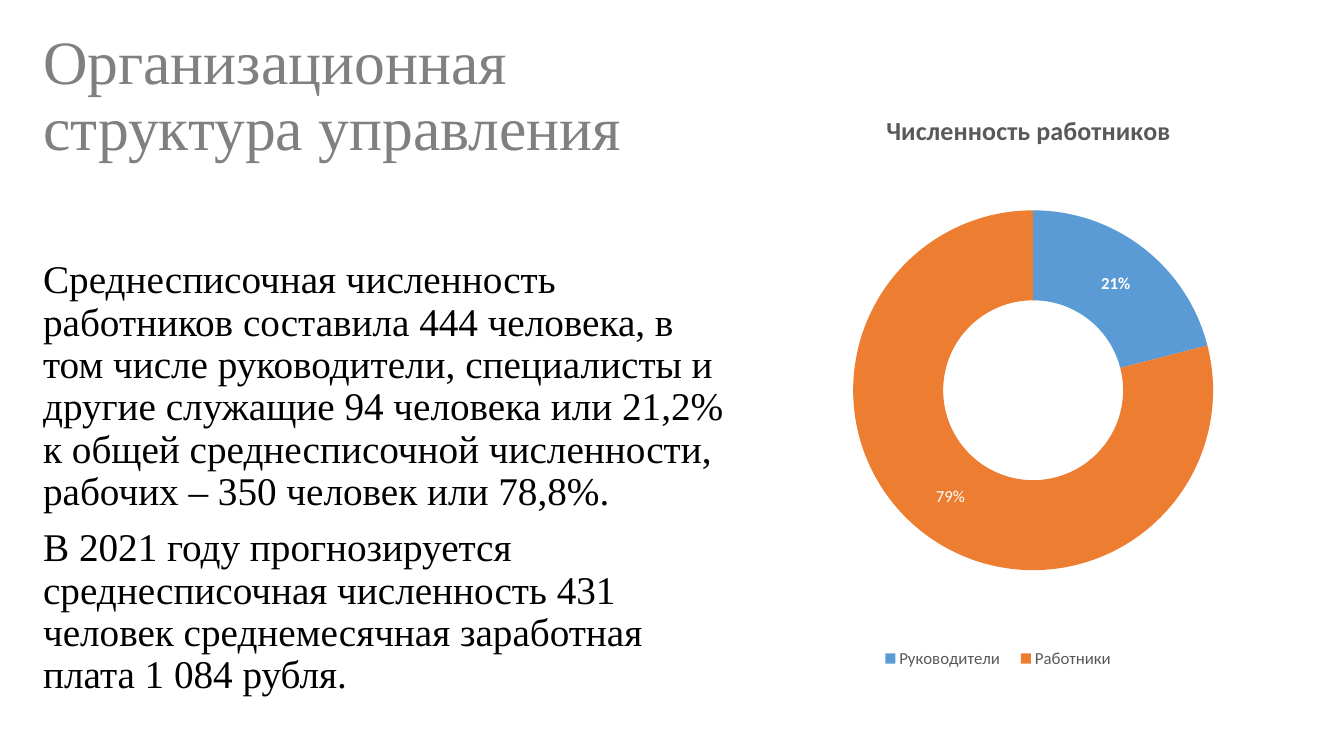
from lxml.etree import SubElement
from pptx import Presentation
from pptx.chart.data import CategoryChartData
from pptx.dml.color import RGBColor
from pptx.enum.chart import XL_CHART_TYPE, XL_LEGEND_POSITION
from pptx.enum.text import MSO_ANCHOR
from pptx.oxml.ns import qn
from pptx.util import Inches, Pt

GRAY = RGBColor(0x80, 0x80, 0x80)
DARK_GRAY = RGBColor(0x59, 0x59, 0x59)
BLACK = RGBColor(0, 0, 0)
WHITE = RGBColor(0xFF, 0xFF, 0xFF)
BLUE = RGBColor(0x5B, 0x9B, 0xD5)
ORANGE = RGBColor(0xED, 0x7D, 0x31)
CHART_TITLE = "Численность работников"
LEFT_MARGIN = 0.33


def add_text(paragraphs, left, top, width, height, size, color, anchor=MSO_ANCHOR.TOP, gap=0):
    box = slide.shapes.add_textbox(Inches(left), Inches(top), Inches(width), Inches(height))
    frame = box.text_frame
    frame.word_wrap = True
    frame.vertical_anchor = anchor
    for index, text in enumerate(paragraphs):
        paragraph = frame.paragraphs[0] if index == 0 else frame.add_paragraph()
        paragraph.line_spacing = 0.9
        paragraph.space_before = Pt(gap if index else 0)
        run = paragraph.add_run()
        run.text = text
        run.font.name = "Times New Roman"
        run.font.size = Pt(size)
        run.font.color.rgb = color


def place(element, position, target=None, **shares):
    """Set a chart part's place in shares of the chart's size."""
    for old_layout in element.findall(qn("c:layout")):
        element.remove(old_layout)
    layout = SubElement(element, qn("c:layout"))
    element.insert(position, layout)
    manual = SubElement(layout, qn("c:manualLayout"))
    if target:
        SubElement(manual, qn("c:layoutTarget")).set("val", target)
    for axis in "xy":
        SubElement(manual, qn(f"c:{axis}Mode")).set("val", "edge")
    for name, share in shares.items():
        SubElement(manual, qn(f"c:{name}")).set("val", str(share))


presentation = Presentation()
presentation.slide_width = Inches(13.33)
presentation.slide_height = Inches(7.5)
slide = presentation.slides.add_slide(presentation.slide_layouts[6])

# Heading and body text
add_text(["Организационная структура управления"], LEFT_MARGIN, 0.24, 7.44, 1.45,
         size=44, color=GRAY, anchor=MSO_ANCHOR.MIDDLE)
add_text([
    "Среднесписочная численность работников составила 444 человека, в том числе "
    "руководители, специалисты и другие служащие 94 человека или 21,2% к общей "
    "среднесписочной численности, рабочих – 350 человек или 78,8%.",
    "В 2021 году прогнозируется среднесписочная численность 431 человек "
    "среднемесячная заработная плата 1 084 рубля.",
], LEFT_MARGIN, 2.53, 7.07, 4.49, size=28, color=BLACK, gap=10)

# Doughnut chart
data = CategoryChartData()
data.categories = ["Руководители", "Работники"]
data.add_series(CHART_TITLE, [21, 79])
chart = slide.shapes.add_chart(XL_CHART_TYPE.DOUGHNUT, Inches(7.39), Inches(0.81),
                               Inches(5.64), Inches(6.36), data).chart
chart.font.name = "Calibri"
chart.font.size = Pt(10)
plot = chart.plots[0]
plot.vary_by_categories = True
points = plot.series[0].points
for index, color in enumerate([BLUE, ORANGE]):
    fill = points[index].format.fill
    fill.solid()
    fill.fore_color.rgb = color

# Chart title and legend
chart.has_title = True
chart.chart_title.text_frame.text = CHART_TITLE
title_run = chart.chart_title.text_frame.paragraphs[0].runs[0]
chart.has_legend = True
chart.legend.position = XL_LEGEND_POSITION.TOP
chart.legend.include_in_layout = False

# Percent labels, the second one in regular weight
labels = plot.series[0].data_labels
labels.show_percentage = True
labels.show_value = False
worker_label = points[1].data_label.text_frame
worker_label.text = "79%"
worker_run = worker_label.paragraphs[0].runs[0]

for font, size, color, bold in [
    (title_run.font, 18.6, DARK_GRAY, True),
    (chart.legend.font, 12, DARK_GRAY, False),
    (labels.font, 12, WHITE, True),
    (worker_run.font, 12, WHITE, False),
]:
    font.name = "Calibri"
    font.size = Pt(size)
    font.color.rgb = color
    font.bold = bold

# Places of the chart parts
chart_element = chart.element.find(qn("c:chart"))
place(chart_element.find(qn("c:plotArea")), 0, "inner", x=0.19, y=0.188, w=0.633, h=0.587)
place(chart_element.find(qn("c:title")), 1, x=0.24, y=0.04)
place(chart_element.find(qn("c:legend")), 1, x=0.22, y=0.87, w=0.45, h=0.06)

presentation.save("out.pptx")
